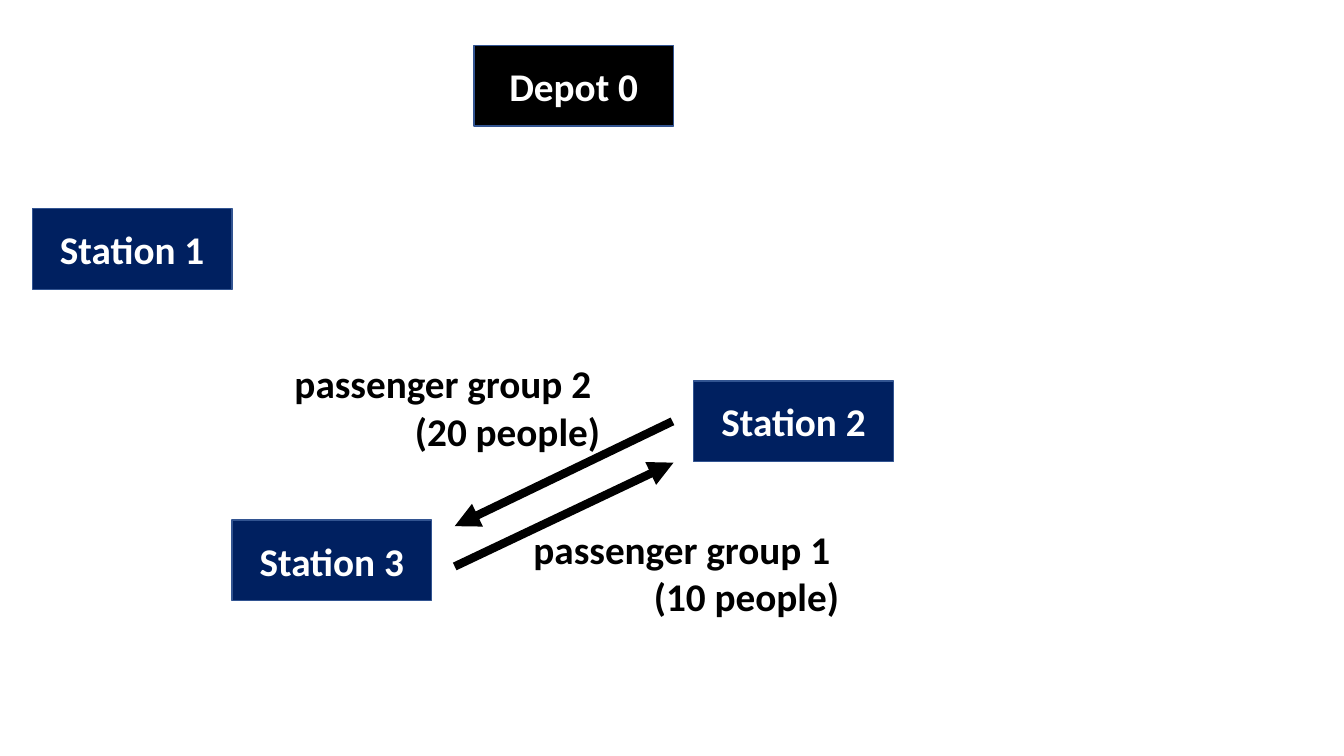
"""Build a slide of a depot, three stations and two passenger groups."""
from dataclasses import dataclass

import pptx
import pptx.dml.color
import pptx.enum.shapes
import pptx.enum.text
import pptx.oxml
import pptx.oxml.ns
import pptx.slide
import pptx.text.text
import pptx.util

PX = 9144
NAVY = pptx.dml.color.RGBColor(0x00, 0x20, 0x60)
BORDER = pptx.dml.color.RGBColor(0x32, 0x54, 0x91)
BLACK = pptx.dml.color.RGBColor(0x00, 0x00, 0x00)
WHITE = pptx.dml.color.RGBColor(0xFF, 0xFF, 0xFF)
STOP_WIDTH, STOP_HEIGHT = 198, 80
GROUP_WIDTH, GROUP_HEIGHT = 327, 104
LABEL_FORMAT = {"name": "Calibri", "size": pptx.util.Pt(28), "bold": True}


@dataclass(frozen=True)
class Stop:
    name: str
    left: int
    top: int
    fill: pptx.dml.color.RGBColor = NAVY


@dataclass(frozen=True)
class PassengerGroup:
    lines: tuple[str, str]
    left: int
    top: int
    origin: tuple[int, int]
    destination: tuple[int, int]


STOPS = (
    Stop("Station 1", 32, 207),
    Stop("Station 2", 688, 378),
    Stop("Station 3", 230, 516),
    Stop("Depot 0", 470, 45, BLACK),
)
GROUPS = (
    PassengerGroup(("passenger group 1 ", "(10 people)"), 515, 516, (451, 562), (668, 459)),
    PassengerGroup(("passenger group 2 ", "(20 people)"), 278, 352, (667, 418), (451, 522)),
)


def px(*lengths: int) -> list[pptx.util.Emu]:
    """Turn px lengths into EMU."""
    return [pptx.util.Emu(length * PX) for length in lengths]


def write_label(
    paragraph: pptx.text.text._Paragraph,
    wording: str,
    color: pptx.dml.color.RGBColor,
    alignment: pptx.enum.text.PP_ALIGN,
) -> None:
    """Write one formatted line of a label."""
    paragraph.alignment = alignment
    run = paragraph.add_run()
    run.text = wording
    for attribute, value in LABEL_FORMAT.items():
        setattr(run.font, attribute, value)
    run.font.color.rgb = color


def draw_stop(slide: pptx.slide.Slide, stop: Stop) -> None:
    """Draw a station or depot as a labelled rectangle."""
    box = slide.shapes.add_shape(
        pptx.enum.shapes.MSO_SHAPE.RECTANGLE,
        *px(stop.left, stop.top, STOP_WIDTH, STOP_HEIGHT),
    )
    box.shadow.inherit = False
    box.fill.solid()
    box.fill.fore_color.rgb = stop.fill
    box.line.color.rgb = BORDER
    box.line.width = pptx.util.Pt(1)
    box.text_frame.vertical_anchor = pptx.enum.text.MSO_ANCHOR.MIDDLE
    write_label(box.text_frame.paragraphs[0], stop.name, WHITE, pptx.enum.text.PP_ALIGN.CENTER)


def draw_group(slide: pptx.slide.Slide, group: PassengerGroup) -> None:
    """Draw the trip arrow of a passenger group and its label."""
    trip = slide.shapes.add_connector(
        pptx.enum.shapes.MSO_CONNECTOR.STRAIGHT,
        *px(*group.origin, *group.destination),
    )
    trip.line.color.rgb = BLACK
    trip.line.width = pptx.util.Pt(6)
    arrowhead = pptx.oxml.parse_xml(
        f'<a:tailEnd {pptx.oxml.ns.nsdecls("a")} type="triangle"/>'
    )
    trip.line._get_or_add_ln().append(arrowhead)
    no_effects = pptx.oxml.parse_xml(f'<a:effectLst {pptx.oxml.ns.nsdecls("a")}/>')
    trip._element.spPr.append(no_effects)

    label = slide.shapes.add_textbox(*px(group.left, group.top, GROUP_WIDTH, GROUP_HEIGHT))
    frame = label.text_frame
    frame.word_wrap = False
    frame.auto_size = pptx.enum.text.MSO_AUTO_SIZE.SHAPE_TO_FIT_TEXT
    for index, wording in enumerate(group.lines):
        paragraph = frame.add_paragraph() if index else frame.paragraphs[0]
        write_label(paragraph, wording, BLACK, pptx.enum.text.PP_ALIGN.RIGHT)


def main() -> None:
    """Assemble and save the slide."""
    presentation = pptx.Presentation()
    presentation.slide_width, presentation.slide_height = px(1333, 750)
    slide = presentation.slides.add_slide(presentation.slide_layouts[6])
    for stop in STOPS:
        draw_stop(slide, stop)
    for group in GROUPS:
        draw_group(slide, group)
    presentation.save("out.pptx")


if __name__ == "__main__":
    main()
